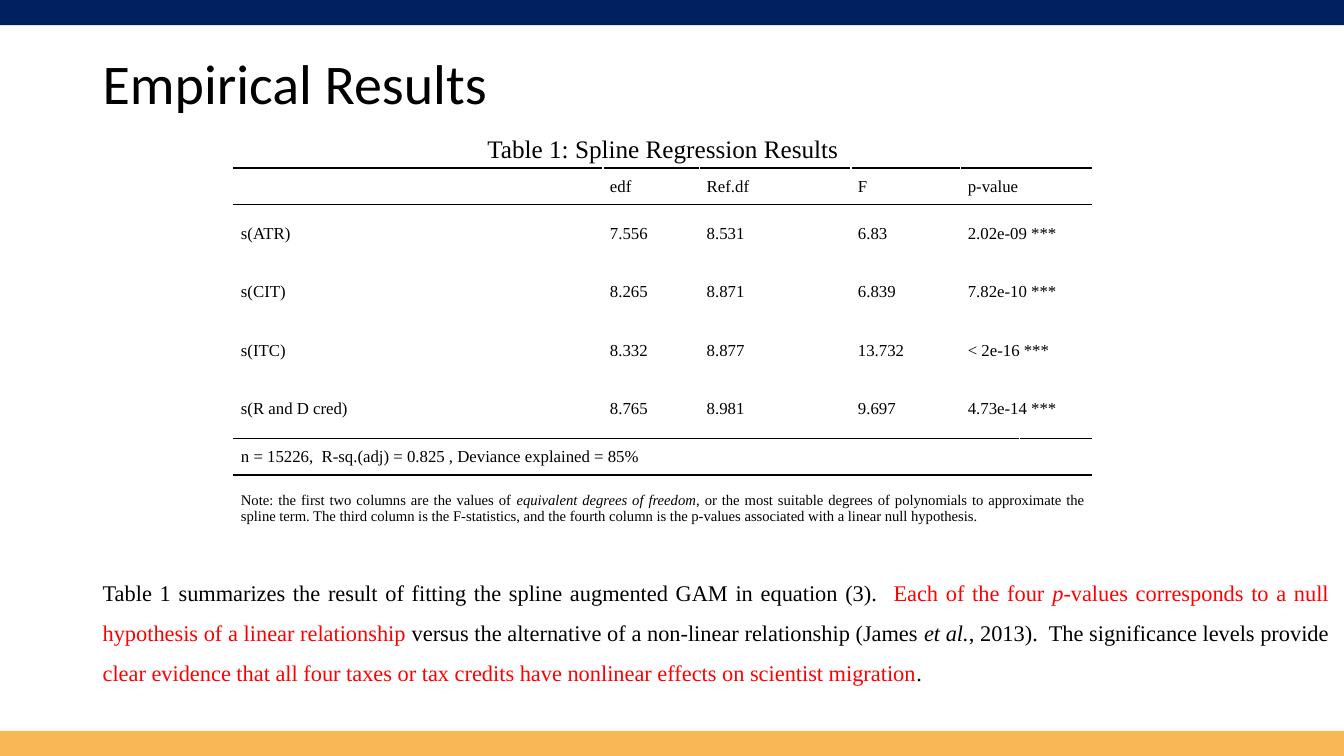
from lxml import etree
from pptx import Presentation
from pptx.dml.color import RGBColor
from pptx.enum.shapes import MSO_SHAPE
from pptx.enum.text import MSO_ANCHOR, PP_ALIGN
from pptx.oxml import parse_xml
from pptx.oxml.ns import nsdecls
from pptx.util import Inches, Pt

RECTANGLE = MSO_SHAPE.RECTANGLE
MIDDLE = MSO_ANCHOR.MIDDLE
LEFT, CENTER, JUSTIFY = PP_ALIGN.LEFT, PP_ALIGN.CENTER, PP_ALIGN.JUSTIFY
SERIF = "Times New Roman"
BLACK, RED, NAVY, AMBER = "000000", "FF0000", "002060", "F9B755"

COLUMN_WIDTHS = [3.66, 0.96, 1.5, 1.09, 0.58, 0.72]
ROW_HEIGHTS = [0.36, 0.36] + [0.58] * 4 + [0.36, 0.67]
RULES_BELOW_ROW = {0: 1.5, 1: 1, 5: 1, 6: 1.5}
RESULTS = [
    ["", "edf", "Ref.df", "F", "p-value"],
    ["s(ATR)", "7.556", "8.531", "6.83", "2.02e-09 ***"],
    ["s(CIT)", "8.265", "8.871", "6.839", "7.82e-10 ***"],
    ["s(ITC)", "8.332", "8.877", "13.732", "< 2e-16 ***"],
    ["s(R and D cred)", "8.765", "8.981", "9.697", "4.73e-14 ***"],
]
# Each run is (text, italic, colour)
NOTE = [
    ("Note: the first two columns are the values of ", False, BLACK),
    ("equivalent degrees of freedom", True, BLACK),
    (", or the most suitable degrees of polynomials to approximate the spline term. "
     "The third column is the F-statistics, and the fourth column is the p-values "
     "associated with a linear null hypothesis.", False, BLACK),
]
SUMMARY = [
    ("Table 1 summarizes the result of fitting the spline augmented GAM in "
     "equation (3).  ", False, BLACK),
    ("Each of the four ", False, RED),
    ("p", True, RED),
    ("-values corresponds to a null hypothesis of a linear relationship ", False, RED),
    ("versus the alternative of a non-linear relationship (James ", False, BLACK),
    ("et al.", True, BLACK),
    (", 2013).  The significance levels provide ", False, BLACK),
    ("clear evidence that all four taxes or tax credits have nonlinear effects on "
     "scientist migration", False, RED),
    (".", False, BLACK),
]


def rgb(color):
    return RGBColor.from_string(color)


def write_runs(paragraph, runs, size, font=SERIF, align=LEFT):
    paragraph.alignment = align
    paragraph.font.size = Pt(size)
    paragraph.font.name = font
    for text, italic, color in runs:
        run = paragraph.add_run()
        run.text = text
        run.font.italic = italic
        run.font.color.rgb = rgb(color)


def add_band(slide, top):
    band = slide.shapes.add_shape(RECTANGLE, 0, Inches(top), Inches(13.33), Inches(0.25))
    band.shadow.inherit = False
    band.line.fill.background()
    band.fill.solid()
    return band


def add_text(slide, left, top, width, height, runs, size, spacing, **style):
    box = slide.shapes.add_textbox(Inches(left), Inches(top), Inches(width), Inches(height))
    frame = box.text_frame
    frame.word_wrap = True
    paragraph = frame.paragraphs[0]
    paragraph.line_spacing = spacing
    write_runs(paragraph, runs, size, **style)
    return frame


def add_rule(cell, side, points):
    """Draw a black border on one side, 'T' or 'B', of a cell."""
    line = parse_xml(f'<a:ln{side} {nsdecls("a")} w="{Pt(points)}"/>')
    fill = etree.SubElement(line, line.tag.replace(f"ln{side}", "solidFill"))
    etree.SubElement(fill, fill.tag.replace("solidFill", "srgbClr"), val=BLACK)
    cell._tc.get_or_add_tcPr().insert(0, line)


def format_cell(cell, row):
    cell.fill.background()
    cell.vertical_anchor = MIDDLE
    cell.margin_left = cell.margin_right = Inches(0.07)
    cell.margin_top = cell.margin_bottom = 0
    # The schema wants the top border first, so it is inserted last
    for side, ruled_row in (("B", row), ("T", row - 1)):
        if ruled_row in RULES_BELOW_ROW:
            add_rule(cell, side, RULES_BELOW_ROW[ruled_row])


def write_cell(table, row, column, runs, size=12, span=1, align=LEFT):
    cell = table.cell(row, column)
    if span > 1:
        cell.merge(table.cell(row, column + span - 1))
    write_runs(cell.text_frame.paragraphs[0], runs, size, align=align)


def add_results_table(slide):
    table = slide.shapes.add_table(
        len(ROW_HEIGHTS), len(COLUMN_WIDTHS),
        Inches(2.32), Inches(1.31), Inches(8.5), Inches(4.06)).table
    table.first_row = table.horz_banding = False
    for column, width in zip(table.columns, COLUMN_WIDTHS):
        column.width = Inches(width)
    for index, (row, height) in enumerate(zip(table.rows, ROW_HEIGHTS)):
        row.height = Inches(height)
        for cell in row.cells:
            format_cell(cell, index)

    caption = [("Table 1: Spline Regression Results", False, BLACK)]
    write_cell(table, 0, 0, caption, size=18, span=6, align=CENTER)
    for row, values in enumerate(RESULTS, start=1):
        for column, value in enumerate(values):
            runs = [(value, False, BLACK)] if value else []
            write_cell(table, row, column, runs, span=2 if column == 4 else 1)
    fit = [("n = 15226,  R-sq.(adj) = 0.825 , Deviance explained = 85%", False, BLACK)]
    write_cell(table, 6, 0, fit, span=5)
    write_cell(table, 7, 0, NOTE, size=10.5, span=6, align=JUSTIFY)


def main():
    presentation = Presentation()
    presentation.slide_width = Inches(13.33)
    presentation.slide_height = Inches(7.5)
    slide = presentation.slides.add_slide(presentation.slide_layouts[6])
    for top, color in ((0, NAVY), (7.25, AMBER)):
        add_band(slide, top).fill.fore_color.rgb = rgb(color)
    title = add_text(slide, 0.92, 0.4, 10.1, 0.91, [("Empirical Results", False, BLACK)],
                     40, 0.9, font="Calibri")
    title.vertical_anchor = MIDDLE
    add_text(slide, 0.92, 5.56, 12.36, 1.26, SUMMARY, 16, 1.5, align=JUSTIFY)
    add_results_table(slide)
    presentation.save("out.pptx")


if __name__ == "__main__":
    main()
